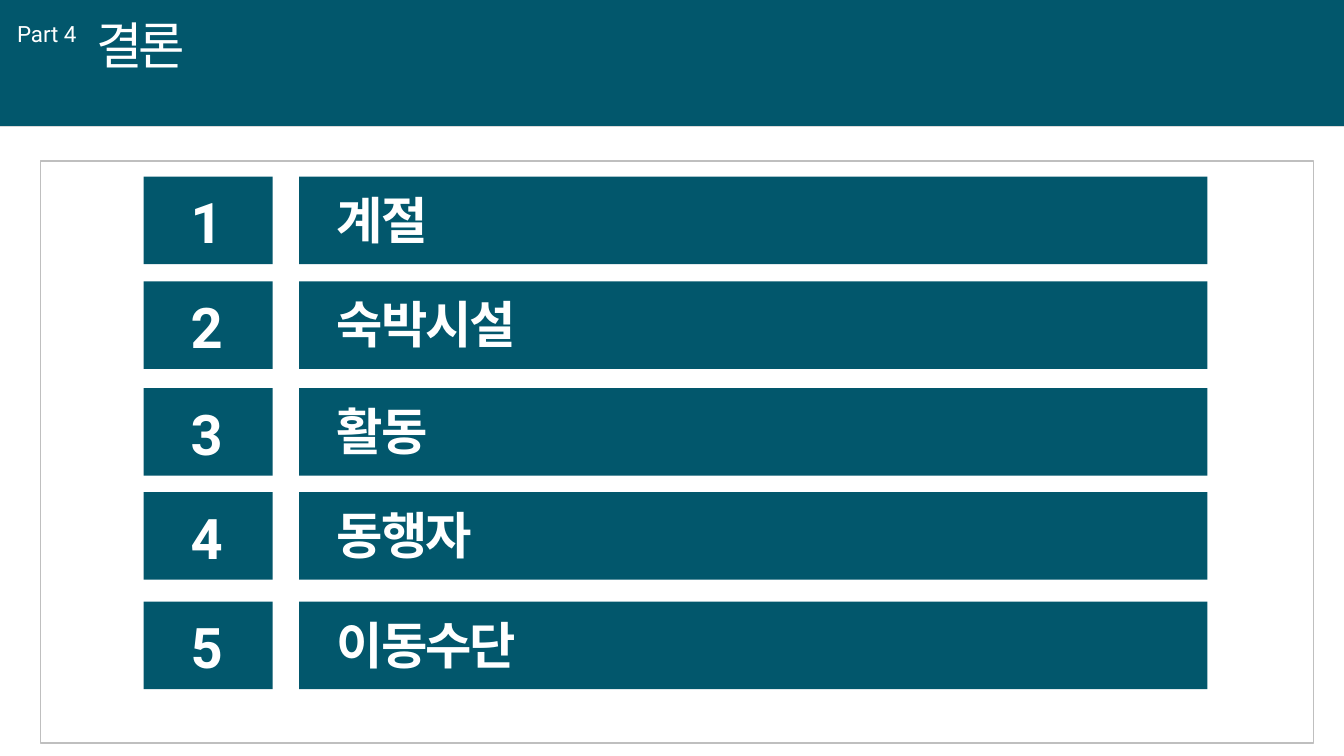
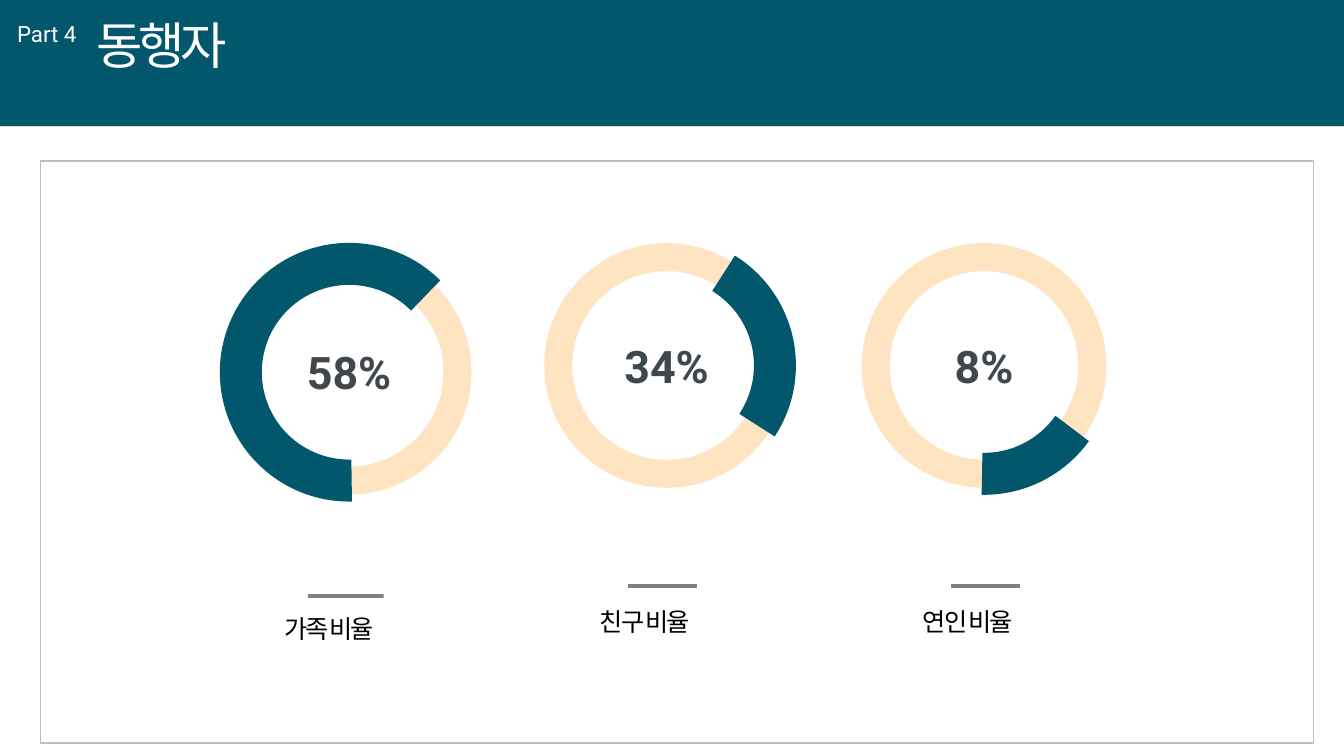
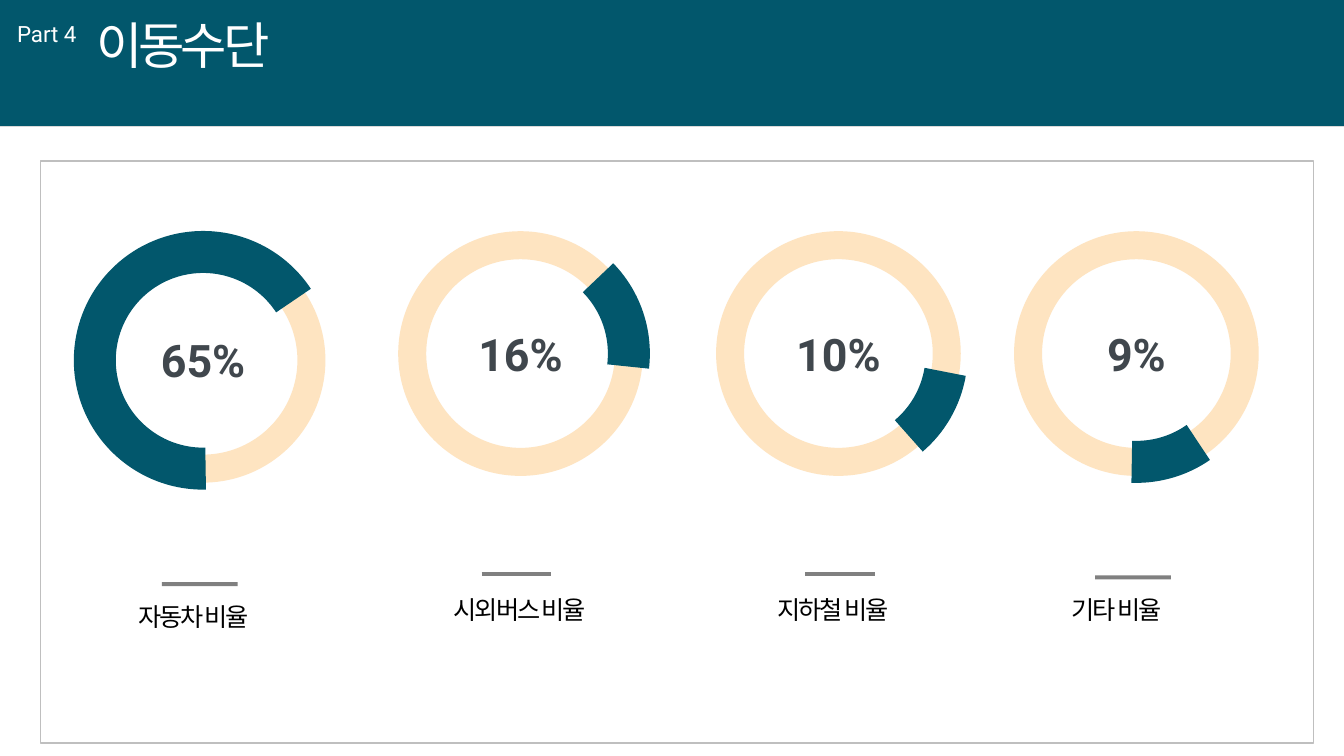
from dataclasses import dataclass
from typing import Optional

from lxml.etree import SubElement
from pptx import Presentation
from pptx.dml.color import RGBColor
from pptx.enum.shapes import MSO_CONNECTOR, MSO_SHAPE
from pptx.enum.text import MSO_ANCHOR, MSO_AUTO_SIZE as AutoSize, PP_ALIGN as Align
from pptx.oxml.ns import qn
from pptx.shapes.autoshape import Shape
from pptx.slide import Slide
from pptx.util import Cm, Pt

TEAL = RGBColor(0x02, 0x57, 0x6C)
CREAM = RGBColor(0xFE, 0xE4, 0xC1)
WHITE = RGBColor(0xFF, 0xFF, 0xFF)
BLACK = RGBColor(0x00, 0x00, 0x00)
SLATE = RGBColor(0x40, 0x47, 0x4D)
GREY = RGBColor(0x80, 0x80, 0x80)
FRAME_GREY = RGBColor(0xBF, 0xBF, 0xBF)
RULE_GREY = RGBColor(0xD9, 0xD9, 0xD9)

KOREAN = "Noto Sans CJK KR"
LATIN = "Roboto"

PAGE_WIDTH, PAGE_HEIGHT = 33.87, 19.05
BAND_HEIGHT = 3.18
ROW_LEFT, ROW_HEIGHT = 3.62, 2.21
NUMBER_WIDTH, BAR_OFFSET, BAR_WIDTH = 3.25, 3.92, 22.89
RING_SIZE = 5.46


@dataclass(frozen=True)
class Box:
    left: float
    top: float
    width: float
    height: float

    def lengths(self) -> tuple[Cm, Cm, Cm, Cm]:
        return Cm(self.left), Cm(self.top), Cm(self.width), Cm(self.height)


@dataclass(frozen=True)
class TextStyle:
    font: str
    size: float
    color: RGBColor
    bold: bool = False
    spacing: float = 0
    align: Align = Align.LEFT


@dataclass(frozen=True)
class Row:
    top: float
    label: str


@dataclass(frozen=True)
class Arc:
    start: float
    end: float


@dataclass(frozen=True)
class Ring:
    left: float
    top: float
    percent: str
    label: str
    rest: Arc
    share: Arc
    label_shift: float = 0.8
    has_bar: bool = False


TITLE = TextStyle(KOREAN, 36, WHITE, spacing=-3)
PART = TextStyle(LATIN, 16, WHITE)
ROW_NUMBER = TextStyle(LATIN, 40, WHITE, bold=True, align=Align.CENTER)
ROW_LABEL = TextStyle(KOREAN, 36, WHITE, bold=True, spacing=-1.5)
PERCENT = TextStyle(LATIN, 32, SLATE, bold=True, align=Align.CENTER)
RING_LABEL = TextStyle(KOREAN, 18, BLACK, spacing=-1.5)

ROWS = [
    Row(4.45, "계절"),
    Row(7.09, "숙박시설"),
    Row(9.78, "활동"),
    Row(12.4, "동행자"),
    Row(15.16, "이동수단"),
]

COMPANIONS = [
    Ring(6.07, 6.65, "58%", "가족 비율", Arc(278.5, 89.11), Arc(88.67, 314.93), 0.84, True),
    Ring(14.07, 6.48, "34%", "친구 비율", Arc(25.68, 320.21), Arc(301.74, 33.43)),
    Ring(22.07, 6.48, "8%", "연인 비율", Arc(80.69, 57.63), Arc(35.55, 91.06), 0.94),
]

TRANSPORT = [
    Ring(2.39, 6.35, "65%", "자동차 비율", Arc(278.5, 89.11), Arc(88.67, 326.54), 0.84, True),
    Ring(10.39, 6.18, "16%", "시외버스 비율", Arc(355.07, 332.51), Arc(315.63, 6.88)),
    Ring(18.4, 6.18, "10%", "지하철 비율", Arc(45.57, 14.77), Arc(9.74, 49.47), 0.94),
    Ring(25.91, 6.18, "9%", "기타 비율", Arc(84.41, 64.94), Arc(55.16, 92.45), 0.84, True),
]


def write_text(shape: Shape, text: str, style: TextStyle) -> None:
    frame = shape.text_frame
    frame.text = text
    frame.word_wrap = False
    frame.auto_size = AutoSize.SHAPE_TO_FIT_TEXT
    frame.vertical_anchor = MSO_ANCHOR.TOP
    para = frame.paragraphs[0]
    para.alignment = style.align
    para.font.size = Pt(style.size)
    para.font.bold = style.bold
    para.font.color.rgb = style.color
    para.font.name = style.font
    properties = para._p.get_or_add_pPr().get_or_add_defRPr()
    SubElement(properties, qn("a:ea")).set("typeface", style.font)
    if style.spacing:
        properties.set("spc", str(int(style.spacing * 100)))


def add_text(page: Slide, box: Box, text: str, style: TextStyle) -> None:
    write_text(page.shapes.add_textbox(*box.lengths()), text, style)


def add_rectangle(page: Slide, box: Box, fill: RGBColor, outline: Optional[RGBColor] = None) -> None:
    shape = page.shapes.add_shape(MSO_SHAPE.RECTANGLE, *box.lengths())
    shape.shadow.inherit = False
    shape.fill.solid()
    shape.fill.fore_color.rgb = fill
    if outline is None:
        shape.line.fill.background()
    else:
        shape.line.color.rgb = outline
        shape.line.width = Pt(1)


def add_rule(page: Slide, left: float, top: float, width: float, color: RGBColor, weight: float) -> None:
    rule = page.shapes.add_connector(MSO_CONNECTOR.STRAIGHT, Cm(left), Cm(top), Cm(left + width), Cm(top))
    rule.line.color.rgb = color
    rule.line.width = Pt(weight)
    SubElement(rule._element.spPr, qn("a:effectLst"))


def add_arc(page: Slide, box: Box, arc: Arc, color: RGBColor, weight: float) -> None:
    shape = page.shapes.add_shape(MSO_SHAPE.ARC, *box.lengths())
    shape.shadow.inherit = False
    shape.adjustments[0] = arc.start * 0.6
    shape.adjustments[1] = arc.end * 0.6
    shape.fill.background()
    shape.line.color.rgb = color
    shape.line.width = Pt(weight)


def add_page(deck: Presentation, title: str) -> Slide:
    page = deck.slides.add_slide(deck.slide_layouts[5])
    add_rectangle(page, Box(0, 0, PAGE_WIDTH, BAND_HEIGHT), TEAL)
    add_rule(page, 0, BAND_HEIGHT, PAGE_WIDTH, RULE_GREY, 0.5)
    heading = page.shapes.title
    box = Box(2.18, 0.23, 0.53 + 1.17 * len(title), 1.8)
    heading.left, heading.top, heading.width, heading.height = box.lengths()
    write_text(heading, title, TITLE)
    page.shapes._spTree.append(heading._element)
    add_text(page, Box(0.18, 0.38, 2.01, 0.94), "Part 4", PART)
    add_rectangle(page, Box(1.02, 4.06, 32.08, 14.66), WHITE, FRAME_GREY)
    return page


def add_row(page: Slide, number: int, row: Row) -> None:
    add_rectangle(page, Box(ROW_LEFT, row.top, NUMBER_WIDTH, ROW_HEIGHT), TEAL)
    add_rectangle(page, Box(ROW_LEFT + BAR_OFFSET, row.top, BAR_WIDTH, ROW_HEIGHT), TEAL)
    add_text(page, Box(ROW_LEFT + 0.93, row.top + 0.16, 1.32, 1.96), str(number), ROW_NUMBER)
    label_width = 0.52 + 1.23 * len(row.label)
    add_text(page, Box(ROW_LEFT + 4.62, row.top + 0.18, label_width, 1.8), row.label, ROW_LABEL)


def add_ring(page: Slide, ring: Ring) -> None:
    circle = Box(ring.left, ring.top, RING_SIZE, RING_SIZE)
    add_arc(page, circle, ring.rest, CREAM, 20)
    add_arc(page, circle, ring.share, TEAL, 30)
    percent_width = 0.9 + 0.63 * len(ring.percent)
    percent_left = ring.left + (RING_SIZE - percent_width) / 2
    add_text(page, Box(percent_left, ring.top + 1.92, percent_width, 1.63), ring.percent, PERCENT)
    label_left = ring.left + ring.label_shift
    label_width = 0.11 + 0.59 * len(ring.label)
    add_text(page, Box(label_left, ring.top + 8.67, label_width, 1.02), ring.label, RING_LABEL)
    if ring.has_bar:
        add_rectangle(page, Box(ring.left + 1.69, ring.top + 8.32, 1.91, 0.1), GREY)
    else:
        add_rule(page, label_left + 0.95, ring.top + 8.29, 1.75, GREY, 3)


def main() -> None:
    deck = Presentation()
    deck.slide_width, deck.slide_height = Cm(PAGE_WIDTH), Cm(PAGE_HEIGHT)

    conclusion = add_page(deck, "결론")
    for number, row in enumerate(ROWS, start=1):
        add_row(conclusion, number, row)

    for title, rings in (("동행자", COMPANIONS), ("이동수단", TRANSPORT)):
        page = add_page(deck, title)
        for ring in rings:
            add_ring(page, ring)

    deck.save("out.pptx")


if __name__ == "__main__":
    main()
